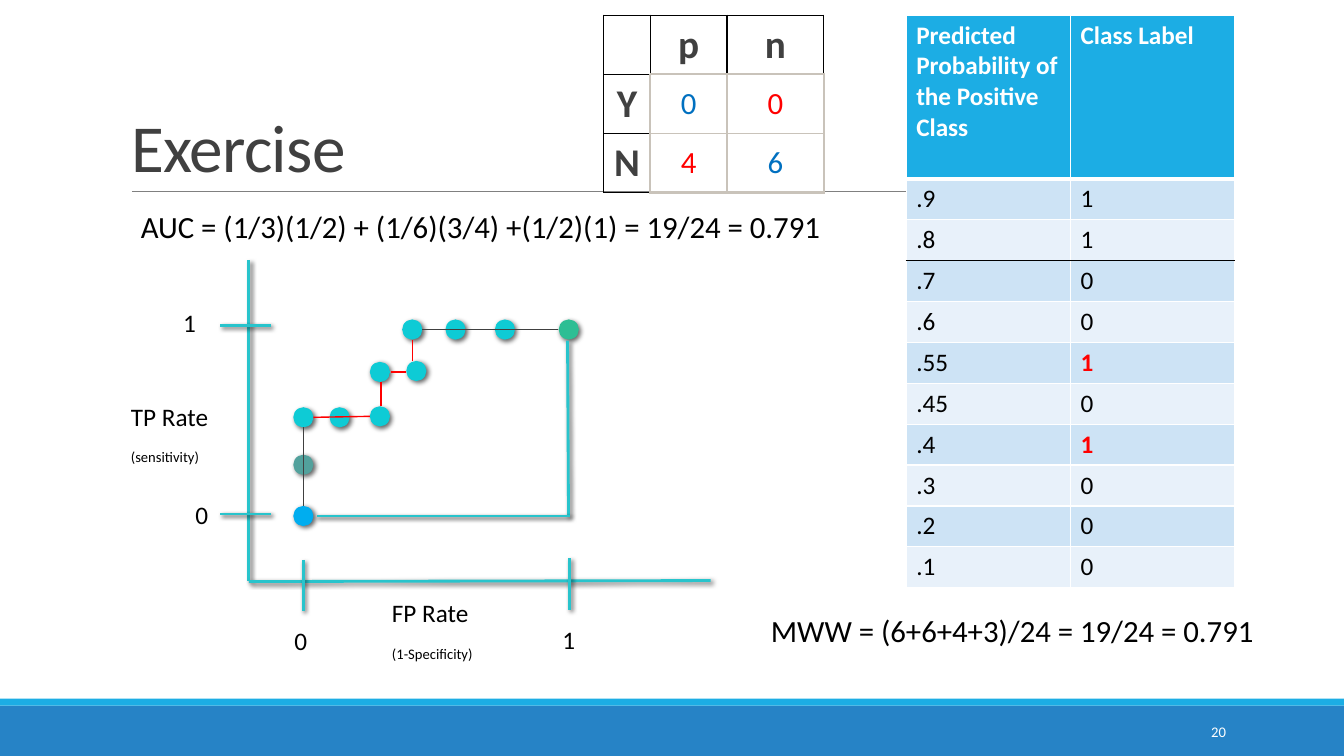
from lxml import etree
from pptx import Presentation
from pptx.dml.color import RGBColor
from pptx.enum import shapes, text
from pptx.oxml import ns
from pptx.util import Pt

FONT = "Calibri"
BLACK = RGBColor(0x00, 0x00, 0x00)
WHITE = RGBColor(0xFF, 0xFF, 0xFF)
RED = RGBColor(0xFF, 0x00, 0x00)
BLUE = RGBColor(0x00, 0x70, 0xC0)
DARK = RGBColor(0x40, 0x40, 0x40)
GREY = RGBColor(0x80, 0x80, 0x80)
TAUPE = RGBColor(0xC9, 0xC3, 0xBA)
SKY = RGBColor(0x1C, 0xAD, 0xE4)
FOOTER = RGBColor(0x26, 0x83, 0xC6)
BAND_DARK = RGBColor(0xCD, 0xE3, 0xF5)
BAND_LIGHT = RGBColor(0xE8, 0xF1, 0xFA)
AXIS = RGBColor(0x28, 0xC4, 0xCC)
CYAN = RGBColor(0x0E, 0xCB, 0xD5)
ORIGIN = RGBColor(0x00, 0xAD, 0xEF)
TEAL = RGBColor(0x52, 0xA1, 0x9C)
GREEN = RGBColor(0x2D, 0xBE, 0x94)

DOT = 14.4
X0, X1 = 216.7, 406.3
Y0, Y1 = 368.6, 235.4
DOTS = [
    (X0, Y0, ORIGIN), (X1, Y1, GREEN), (X0, 332, TEAL), (X0, 298.1, CYAN),
    (242.6, 298.1, CYAN), (271.4, 297.4, CYAN), (271.4, 265.7, CYAN),
    (297.4, 265, CYAN), (294.5, Y1, CYAN), (325.4, Y1, CYAN), (360.7, Y1, CYAN),
]
AXES = [
    (177.8, 185.8, 177.8, 414.7), (507.6, 414.7, 177.8, 415.4),
    (193.7, 232.6, 157, 232.6), (193.7, 367.2, 157, 367.2),
    (X0, 436.3, X0, 400.3), (406.8, 435.6, 406.8, 398.9),
]
STEPS = [
    (X0, 361.4, X0, 305.3, DARK), (264.2, 297.4, 223.9, 298.1, RED),
    (290.2, 265.7, 279.4, 265.7, RED), (272.2, 272.9, 272.2, 290.2, RED),
    (294.5, 242.6, 294.5, 257.8, RED), (398.9, Y1, 301.7, Y1, DARK),
]
BOX_EDGES = [(406.1, Y0, 405.4, 243.4), (406.8, Y0, 226.1, Y0)]
PREDICTIONS = [
    (".9", "1"), (".8", "1"), (".7", "0"), (".6", "0"), (".55", "1"),
    (".45", "0"), (".4", "1"), (".3", "0"), (".2", "0"), (".1", "0"),
]
THRESHOLD_ROW = 2
LATE_POSITIVES = (".55", ".4")
CONFUSION = [("", "p", "n"), ("Y", "0", "0"), ("N", "4", "6")]


def style(r, size, color, bold=False):
    r.font.name, r.font.size, r.font.bold = FONT, Pt(size), bold
    r.font.color.rgb = color


def set_effects(sp, blur=None):
    """Replace the theme effect with a soft shadow, or with none."""
    effects = etree.SubElement(sp._element.spPr, ns.qn("a:effectLst"))
    if blur:
        shadow = etree.SubElement(effects, ns.qn("a:outerShdw"), blurRad=str(Pt(blur)),
                                  dist=str(Pt(2)), dir="2700000", rotWithShape="0")
        color = etree.SubElement(shadow, ns.qn("a:srgbClr"), val="000000")
        etree.SubElement(color, ns.qn("a:alpha"), val="60000")


def add_line(slide, x1, y1, x2, y2, color, width, blur=None):
    line = slide.shapes.add_connector(shapes.MSO_CONNECTOR.STRAIGHT,
                                      Pt(x1), Pt(y1), Pt(x2), Pt(y2))
    line.line.color.rgb, line.line.width = color, Pt(width)
    set_effects(line, blur)


def add_filled(slide, kind, x, y, w, h, color, blur=None):
    sp = slide.shapes.add_shape(kind, Pt(x), Pt(y), Pt(w), Pt(h))
    sp.fill.solid()
    sp.fill.fore_color.rgb = color
    sp.line.fill.background()
    set_effects(sp, blur)


def add_label(slide, x, y, w, h, words, size=18, color=BLACK, note=None):
    """Add a text box; the note goes below as a subscript line."""
    tf = slide.shapes.add_textbox(Pt(x), Pt(y), Pt(w), Pt(h)).text_frame
    tf.word_wrap = True
    tf.text = words
    style(tf.paragraphs[0].runs[0], size, color)
    if note:
        p = tf.add_paragraph()
        p.text = note
        style(p.runs[0], size, color)
        p.runs[0].font._element.set("baseline", "-25000")
    return tf


def set_borders(cell, **edges):
    """Draw the edges L, R, T and B, each given as (colour, width)."""
    tc_pr = cell._tc.get_or_add_tcPr()
    for side in "LRTB":
        color, width = edges[side]
        ln = etree.SubElement(tc_pr, ns.qn("a:ln" + side), w=str(Pt(width)))
        fill = etree.SubElement(ln, ns.qn("a:solidFill"))
        etree.SubElement(fill, ns.qn("a:srgbClr"), val=str(color))


def add_grid(slide, x, y, widths, heights):
    table = slide.shapes.add_table(len(heights), len(widths), Pt(x), Pt(y),
                                   Pt(sum(widths)), Pt(sum(heights))).table
    for column, width in zip(table.columns, widths):
        column.width = Pt(width)
    for row, height in zip(table.rows, heights):
        row.height = Pt(height)
    return table


def fill_cell(cell, words, size, color, bold, fill):
    cell.text = words
    for r in cell.text_frame.paragraphs[0].runs:
        style(r, size, color, bold)
    if fill is None:
        cell.fill.background()
    else:
        cell.fill.solid()
        cell.fill.fore_color.rgb = fill


def add_predictions(slide):
    rows = [("Predicted Probability of the Positive Class", "Class Label")] + PREDICTIONS
    table = add_grid(slide, 647.3, 10.8, [117.4] * 2, [117] + [29.2] * len(PREDICTIONS))
    thin, header_rule, threshold = (WHITE, 1), (WHITE, 3), (BLACK, 1)
    edges_below = {0: header_rule, THRESHOLD_ROW: threshold}
    for i, row in enumerate(rows):
        for j, words in enumerate(row):
            color, fill = BLACK, BAND_DARK if i % 2 else BAND_LIGHT
            if i == 0:
                color, fill = WHITE, SKY
            elif j == 1 and row[0] in LATE_POSITIVES:
                color = RED
            cell = table.cell(i, j)
            set_borders(cell, L=thin, R=thin, T=edges_below.get(i - 1, thin),
                        B=edges_below.get(i, thin))
            fill_cell(cell, words, 18, color, color != BLACK, fill)


def add_confusion_matrix(slide):
    table = add_grid(slide, 431.3, 10.8, [33.1, 54.9, 69.2], [41.5] * 3)
    black, thin, thick = (BLACK, 1), (TAUPE, 1), (TAUPE, 2)
    for i, row in enumerate(CONFUSION):
        for j, words in enumerate(row):
            cell = table.cell(i, j)
            if i and j:
                size, color = 22, BLUE if i == j else RED
                set_borders(cell, L=thick if j == 1 else thin, R=thick if j == 2 else thin,
                            T=thick if i == 1 else thin, B=thick if i == 2 else thin)
            else:
                size, color = 28, DARK
                set_borders(cell, L=black, T=black, R=thick if i else black,
                            B=thick if j else black)
            fill_cell(cell, words, size, color, size == 28, None)
            cell.vertical_anchor = text.MSO_ANCHOR.MIDDLE
            cell.margin_left = cell.margin_right = Pt(4.3)
            cell.margin_top = cell.margin_bottom = Pt(4.3)
            cell.text_frame.paragraphs[0].alignment = text.PP_ALIGN.CENTER


def set_title(slide, words):
    title = slide.shapes.title
    title.left, title.top, title.width, title.height = Pt(86.4), Pt(22.3), Pt(792), Pt(114.5)
    tf = title.text_frame
    tf.text = words
    tf.vertical_anchor = text.MSO_ANCHOR.BOTTOM
    p = tf.paragraphs[0]
    p.alignment, p.line_spacing = text.PP_ALIGN.LEFT, 0.85
    style(p.runs[0], 48, DARK)
    p.runs[0].font._element.set("spc", "-50")


def add_frame(slide):
    """Add the footer bars, the title rule and the page number."""
    rect = shapes.MSO_SHAPE.RECTANGLE
    add_filled(slide, rect, 0, 504, 960, 36, FOOTER)
    add_filled(slide, rect, 0, 499, 960, 5, SKY)
    add_line(slide, 94.3, 136.8, 879.1, 136.8, GREY, 0.5)
    tf = add_label(slide, 779.8, 508.3, 103, 28.8, "20", 10.5, WHITE)
    tf.vertical_anchor = text.MSO_ANCHOR.MIDDLE
    tf.paragraphs[0].alignment = text.PP_ALIGN.RIGHT


def add_roc_plot(slide):
    for axis in AXES:
        add_line(slide, *axis, AXIS, 2, blur=3)
    for x, y, color in DOTS:
        add_filled(slide, shapes.MSO_SHAPE.OVAL, x - DOT / 2, y - DOT / 2, DOT, DOT,
                   color, blur=3.5)
    for step in STEPS:
        add_line(slide, *step, 1)
    for edge in BOX_EDGES:
        add_line(slide, *edge, AXIS, 2, blur=3)
    for x, y, words in [(203.2, 442.8, "0"), (132.5, 352.8, "0"),
                        (123.8, 216, "1"), (394.6, 442.1, "1")]:
        add_label(slide, x, y, 30, 28.8, words)
    add_label(slide, 272.9, 423.4, 100, 44, "FP Rate", note="(1-Specificity)")
    add_label(slide, 86.4, 283, 90, 44, "TP Rate", note="(sensitivity)")


def main():
    prs = Presentation()
    prs.slide_width, prs.slide_height = Pt(960), Pt(540)
    slide = prs.slides.add_slide(prs.slide_layouts[5])
    add_frame(slide)
    set_title(slide, "Exercise")
    add_predictions(slide)
    add_roc_plot(slide)
    add_confusion_matrix(slide)
    add_label(slide, 93.6, 144.7, 520, 33.8,
              "AUC = (1/3)(1/2) + (1/6)(3/4) +(1/2)(1) = 19/24 = 0.791", 22)
    add_label(slide, 543.6, 433.4, 380, 33.8, "MWW = (6+6+4+3)/24 = 19/24 = 0.791", 22)
    prs.save("out.pptx")


if __name__ == "__main__":
    main()
